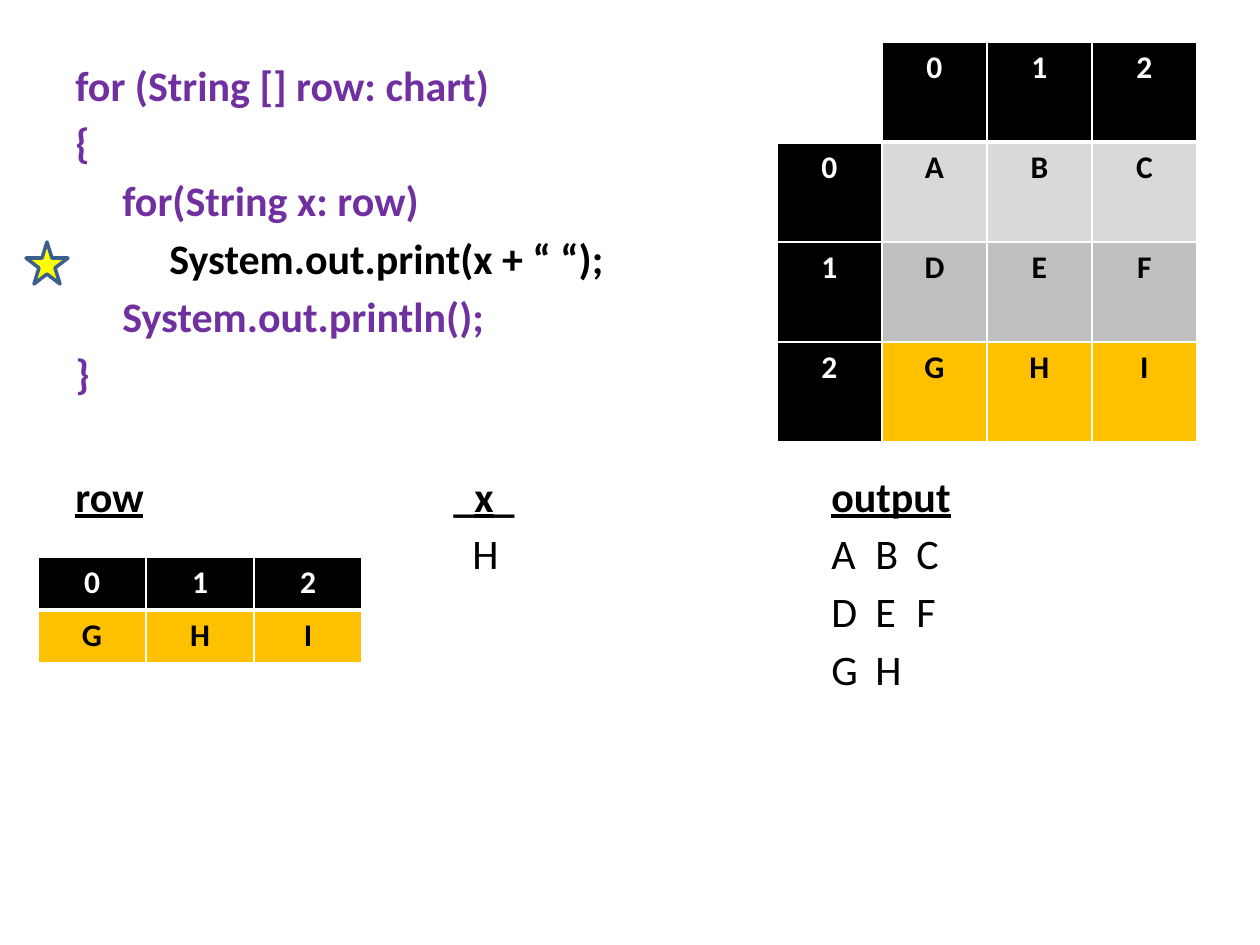
from lxml import etree
from pptx import Presentation
from pptx.dml.color import RGBColor
from pptx.enum.shapes import MSO_SHAPE
from pptx.enum.text import PP_ALIGN
from pptx.oxml.ns import qn
from pptx.util import Pt

SCALE = 914400 // 126
STAR = MSO_SHAPE.STAR_5_POINT
CENTER = PP_ALIGN.CENTER
COLORS = {
    "white": "FFFFFF", "black": "000000", "purple": "7030A0",
    "light": "D9D9D9", "gray": "BFBFBF", "gold": "FFC000",
    "yellow": "FFFF00", "outline": "3A5F8C",
}
COLUMN_STEP = 378
COLUMN_LEFT = 63
CODE_TOP = 53
RESULTS_TOP = 464
INDENT = 47
OUTPUT_TABS = (44, 85)


def add_run(paragraph, text, color, **format_values):
    """Add a Calibri run with the given colour and font values."""
    run = paragraph.add_run()
    run.text = text
    run.font.name = "Calibri"
    run.font.color.rgb = RGBColor.from_string(COLORS[color])
    for name, value in format_values.items():
        setattr(run.font, name, value)


def add_grid(left, top, column_width, row_height, rows):
    """Add a table from rows of (text, fill, text colour) with white rules."""
    width, height = column_width * len(rows[0]), row_height * len(rows)
    frame = slide.shapes.add_table(
        len(rows), len(rows[0]), left * SCALE, top * SCALE, width * SCALE, height * SCALE)
    table = frame.table
    for column in table.columns:
        column.width = column_width * SCALE
    for row_index, row in enumerate(rows):
        table.rows[row_index].height = row_height * SCALE
        for column_index, (text, fill, color) in enumerate(row):
            cell = table.cell(row_index, column_index)
            cell.fill.solid()
            cell.fill.fore_color.rgb = RGBColor.from_string(COLORS[fill])
            paragraph = cell.text_frame.paragraphs[0]
            paragraph.alignment = CENTER
            if text:
                add_run(paragraph, text, color, size=Pt(18), bold=True)
            properties = cell._tc.get_or_add_tcPr()
            for position, side in enumerate(("lnL", "lnR", "lnT", "lnB")):
                header_rule = (row_index, side) in ((0, "lnB"), (1, "lnT"))
                border = etree.Element(qn(f"a:{side}"), w=str(Pt(3 if header_rule else 1)))
                solid = etree.SubElement(border, qn("a:solidFill"))
                etree.SubElement(solid, qn("a:srgbClr"), val=COLORS["white"])
                properties.insert(position, border)


presentation = Presentation()
presentation.slide_width = 1260 * SCALE
presentation.slide_height = 945 * SCALE
slide = presentation.slides.add_slide(presentation.slide_layouts[6])

# Each text block: left, top, width, height, lines.
# Each line: indent in pixels, then runs of (text, colour, bold, underline).
code = [
    (0, [("for (String [] row: chart)", "purple", True, False)]),
    (0, [("{", "purple", True, False)]),
    (INDENT, [("for(String x: row)", "purple", True, False)]),
    (2 * INDENT, [("System.out.print(x + “ “);", "black", True, False)]),
    (INDENT, [("System.out.println();", "purple", True, False)]),
    (0, [("}", "purple", True, False)]),
]
row_heading = [(0, [("row", "black", True, True)])]
x_value = [
    (0, [("_", "black", True, False), ("x", "black", True, True), ("_", "black", True, False)]),
    (19, [("H", "black", False, False)]),
]
output = [(0, [("output", "black", True, True)])] + [
    (0, [("\t".join(letters), "black", False, False)]) for letters in ("ABC", "DEF", "GH")]

text_blocks = [(COLUMN_LEFT, CODE_TOP, 680, 370, code)]
for index, lines in enumerate((row_heading, x_value, output)):
    text_blocks.append(
        (COLUMN_LEFT + index * COLUMN_STEP, RESULTS_TOP, 300, 12 + 59 * len(lines), lines))

for left, top, width, height, lines in text_blocks:
    box = slide.shapes.add_textbox(left * SCALE, top * SCALE, width * SCALE, height * SCALE)
    box.text_frame.word_wrap = True
    for index, (indent, runs) in enumerate(lines):
        paragraph = box.text_frame.paragraphs[0] if index == 0 else box.text_frame.add_paragraph()
        paragraph.space_before = Pt(4.2)
        properties = paragraph._p.get_or_add_pPr()
        properties.set("marL", str(indent * SCALE))
        for text, color, bold, underline in runs:
            add_run(paragraph, text, color, size=Pt(24), bold=bold, underline=underline)
        if "\t" in runs[0][0]:
            tab_list = etree.SubElement(properties, qn("a:tabLst"))
            for stop in OUTPUT_TABS:
                etree.SubElement(tab_list, qn("a:tab"), pos=str(stop * SCALE), algn="l")

header = [(number, "black", "white") for number in "012"]
chart_rows = [[("", "white", "black")] + header]
for number, letters, fill in (("0", "ABC", "light"), ("1", "DEF", "gray"), ("2", "GHI", "gold")):
    chart_rows.append(
        [(number, "black", "white")] + [(letter, fill, "black") for letter in letters])
add_grid(777, 42, 105, 100, chart_rows)

star = slide.shapes.add_shape(STAR, 26 * SCALE, 242 * SCALE, 42 * SCALE, 42 * SCALE)
star.shadow.inherit = False
star.fill.solid()
star.fill.fore_color.rgb = RGBColor.from_string(COLORS["yellow"])
star.line.color.rgb = RGBColor.from_string(COLORS["outline"])
star.line.width = Pt(2)

add_grid(38, 557, 108, 53, [header, chart_rows[-1][1:]])

presentation.save("out.pptx")
